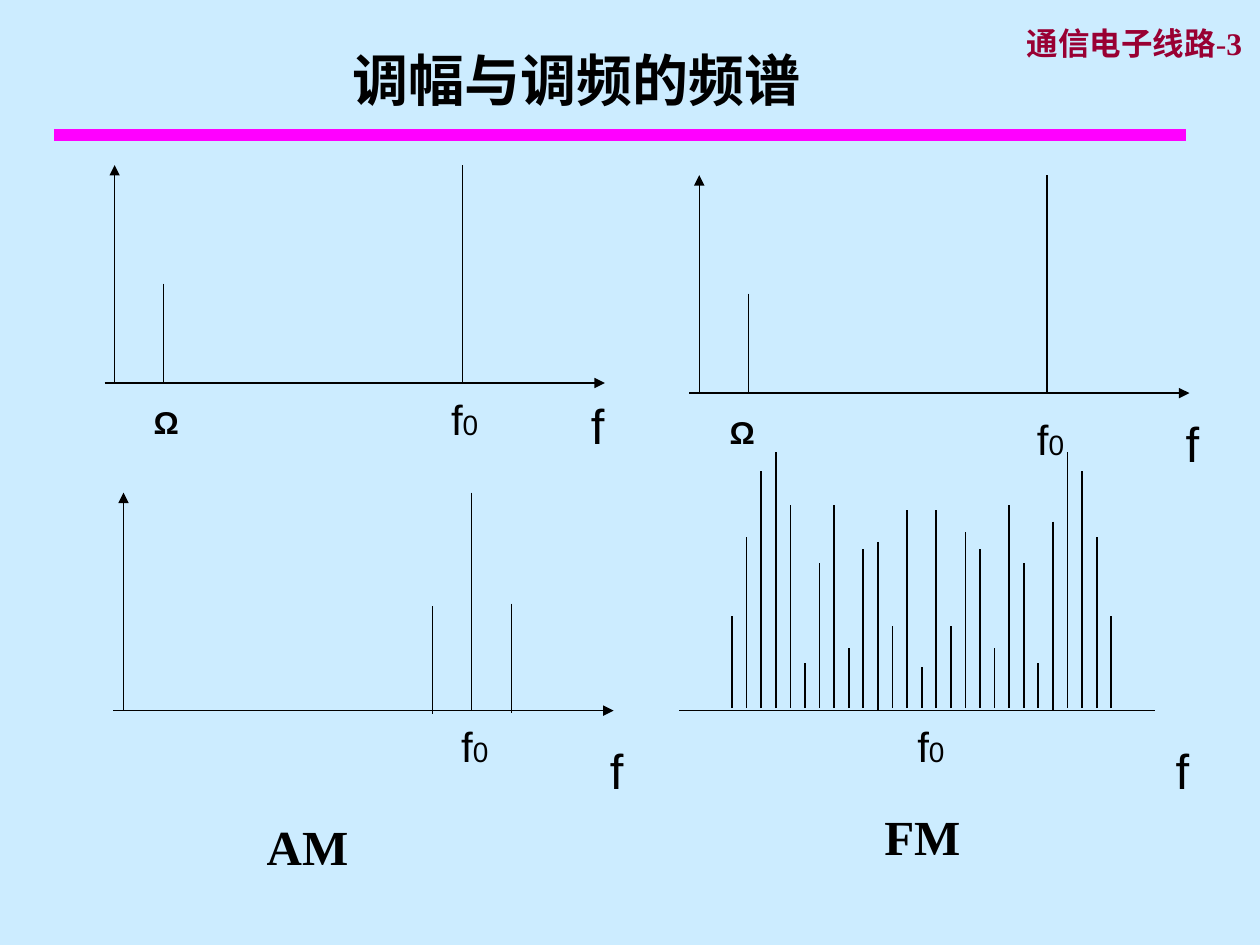
from lxml import etree
from pptx import Presentation
from pptx.dml.color import RGBColor
from pptx.enum import shapes, text
from pptx.oxml import ns
from pptx.util import Inches, Pt

BLACK = "000000"
AXIS_WIDTH = 0.75
SIDE_HEIGHTS = [0.73, 1.36, 1.88, 2.03, 1.61, 0.36, 1.15, 1.61, 0.48, 1.26, 1.4, 0.65, 1.57]
MIDDLE_HEIGHT = 0.33
CARRIERS = {10: 1.34, 22: 1.5}
LABELS = {
    "f": (0.11, 0.47, [("f", 28)], False),
    "f0": (0.22, 0.4, [("f", 24), ("0", 16)], False),
    "Ω": (0.19, 0.3, [("Ω", 18)], True),
}


def color(value):
    return RGBColor.from_string(value)


def add_line(page, start, end, width=AXIS_WIDTH, tint=BLACK, arrow=False):
    line = page.shapes.add_connector(
        shapes.MSO_CONNECTOR.STRAIGHT, *[Inches(value) for value in (*start, *end)])
    line.line.width = Pt(width)
    line.line.color.rgb = color(tint)
    properties = line.line._get_or_add_ln()
    if arrow:
        etree.SubElement(properties, ns.qn("a:tailEnd"), type="triangle")
    etree.SubElement(properties.getparent(), ns.qn("a:effectLst"))


def add_text(page, bounds, spans, font="Arial", tint=BLACK, bold=False,
             padded=False, wrap=False, centered=False):
    box = page.shapes.add_textbox(*[Inches(value) for value in bounds])
    frame = box.text_frame
    frame.word_wrap = wrap
    frame.auto_size = text.MSO_AUTO_SIZE.SHAPE_TO_FIT_TEXT
    frame.margin_left = frame.margin_right = Inches(0.1 if padded else 0)
    frame.margin_top = frame.margin_bottom = Inches(0.05 if padded else 0)
    para = frame.paragraphs[0]
    para.alignment = text.PP_ALIGN.CENTER if centered else text.PP_ALIGN.LEFT
    para.font.name = font
    para.font.bold = bold
    para.font.color.rgb = color(tint)
    for words, size in spans:
        span = para.add_run()
        span.text = words
        span.font.size = Pt(size)
    return para


def add_labels(page, left, base, labels):
    for name, x, y in labels:
        width, height, spans, bold = LABELS[name]
        add_text(page, (left + x, base + y, width, height), spans, bold=bold)


def add_header(page, left, top, width):
    add_text(page, (left + 2.37, top, 3.56, 0.53), [("调幅与调频的频谱", 32)], bold=True)
    add_line(page, (left, top + 0.71), (left + width, top + 0.71), 7, "FF00FF")
    course = add_text(page, (8.02, 0.14, 1.97, 0.4),
                      [("通信电子线路", 18), ("-", 18), ("3", 18)],
                      "Times New Roman", "990033", True, padded=True, centered=True)
    course.runs[1].font.bold = False


def add_axes_plot(page, left, top, width, height, bars, labels):
    base = top + height
    add_line(page, (left + 0.08, base), (left + 0.08, top), arrow=True)
    add_line(page, (left, base), (left + width, base), arrow=True)
    for x, bar_height, drop in bars:
        add_line(page, (left + x, base + drop - bar_height), (left + x, base + drop))
    add_labels(page, left, base, labels)


def add_fm_spectrum(page, left, top, width, height):
    base = top + height
    add_line(page, (left, base), (left + width, base))
    heights = SIDE_HEIGHTS + [MIDDLE_HEIGHT] + SIDE_HEIGHTS[::-1]
    step = 3.01 / (len(heights) - 1)
    for index, bar_height in enumerate(heights):
        x = left + 0.42 + index * step
        if index in CARRIERS:
            add_line(page, (x, base - CARRIERS[index]), (x, base))
        else:
            add_line(page, (x, base - 0.02), (x, base - 0.02 - bar_height), 1)
    add_labels(page, left, base, [("f0", 1.89, 0.08), ("f", 3.94, 0.24)])


def add_caption(page, left, top, words):
    add_text(page, (left, top, 1.18, 0.57), [(words, 28)], "Times New Roman",
             bold=True, padded=True, wrap=True, centered=True)


def main():
    deck = Presentation()
    deck.slide_width, deck.slide_height = Inches(10), Inches(7.5)
    page = deck.slides.add_slide(deck.slide_layouts[6])
    page.background.fill.solid()
    page.background.fill.fore_color.rgb = color("CCECFF")

    add_header(page, 0.43, 0.36, 8.98)
    inputs = [(0.47, 0.79, 0), (2.84, 1.73, 0)]
    add_axes_plot(page, 0.83, 1.31, 3.97, 1.73, inputs,
                  [("Ω", 0.39, 0.16), ("f0", 2.75, 0.08), ("f", 3.86, 0.1)])
    add_axes_plot(page, 5.47, 1.39, 3.97, 1.73, inputs,
                  [("Ω", 0.32, 0.16), ("f0", 2.76, 0.16), ("f", 3.94, 0.16)])
    add_axes_plot(page, 0.9, 3.91, 3.97, 1.73,
                  [(2.53, 0.86, 0.03), (2.84, 1.73, 0), (3.16, 0.87, 0.02)],
                  [("f0", 2.76, 0.08), ("f", 3.94, 0.24)])
    add_fm_spectrum(page, 5.39, 3.59, 3.78, 2.05)
    add_caption(page, 1.85, 6.43, "AM")
    add_caption(page, 6.73, 6.35, "FM")
    deck.save("out.pptx")


if __name__ == "__main__":
    main()
